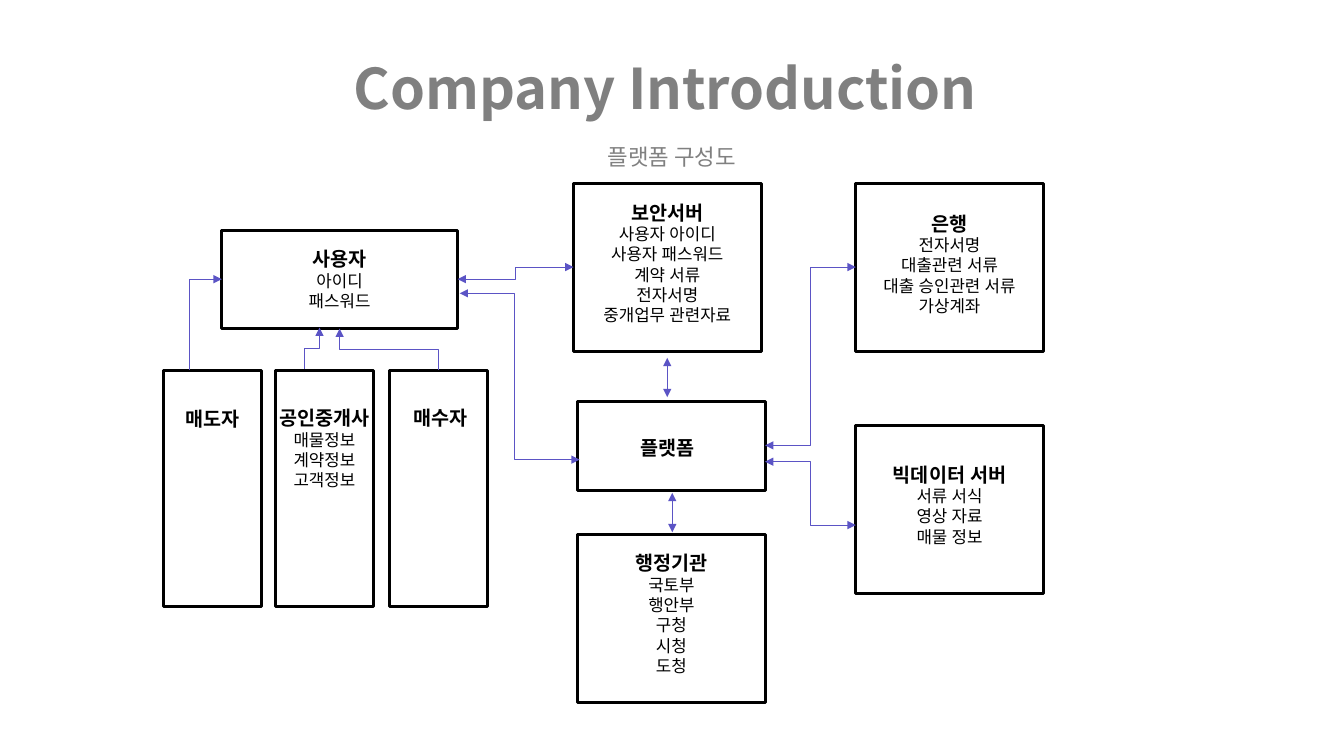
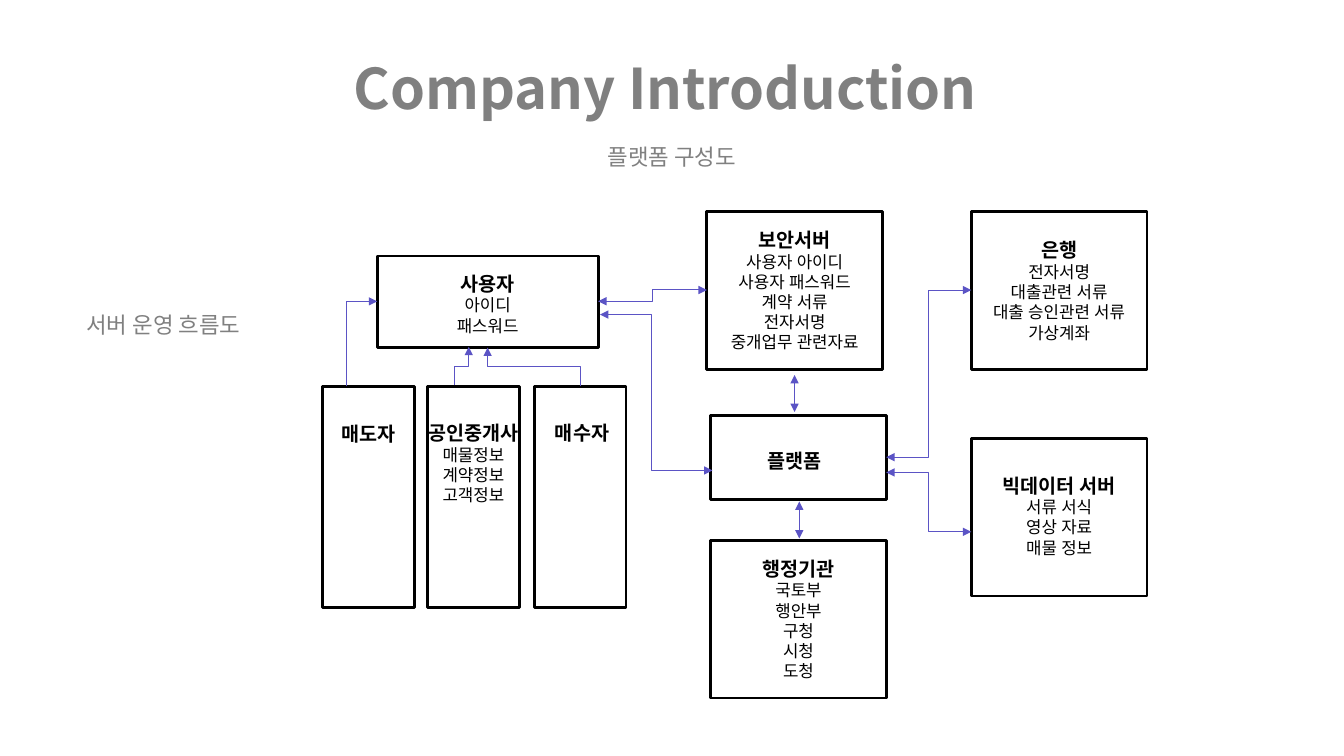
import pptx
import pptx.dml.color
import pptx.enum.shapes
import pptx.enum.text
import pptx.oxml
import pptx.oxml.ns
import pptx.util

Pt = pptx.util.Pt
ALIGN = pptx.enum.text.PP_ALIGN
ANCHOR = pptx.enum.text.MSO_ANCHOR
CONNECTOR = pptx.enum.shapes.MSO_CONNECTOR
RECTANGLE = pptx.enum.shapes.MSO_SHAPE.RECTANGLE
qn = pptx.oxml.ns.qn

GREY, BLACK, VIOLET = "808080", "000000", "5B54C5"
TITLE_FONT, CAPTION_FONT, BOX_FONT = "Noto Sans CJK KR", "Karla", "Lato"


def rgb(code):
    return pptx.dml.color.RGBColor.from_string(code)


def add_span(para, text, font, size, color, bold=False, align=ALIGN.CENTER):
    """Align the paragraph and add one run, with the same font for Latin and Korean."""
    para.alignment = align
    span = para.add_run()
    span.text = text
    span.font.name = font
    span.font.size = Pt(size)
    span.font.bold = bold
    span.font.color.rgb = rgb(color)
    east_asian = pptx.oxml.parse_xml(
        f'<a:ea {pptx.oxml.ns.nsdecls("a")} typeface="{font}"/>')
    span.font._element.find(qn("a:latin")).addnext(east_asian)


# left, top, width, height, gap above text, sideways shift of text, heading, lines
BOXES = [
    (409.7, 131, 134, 120.2, 8.6, 0, "보안서버",
     ["사용자 아이디", "사용자 패스워드", "계약 서류", "전자서명", "중개업무 관련자료"]),
    (611.3, 303.8, 134, 120.2, 23, 0, "빅데이터 서버",
     ["서류 서식", "영상 자료", "매물 정보"]),
    (412.6, 381.6, 134, 120.2, 8.6, 0, "행정기관",
     ["국토부", "행안부", "구청", "시청", "도청"]),
    (412.6, 286.6, 134, 64, 21.5, -3, "플랫폼", []),
    (611.3, 131, 134, 120.2, 16.5, 0, "은행",
     ["전자서명", "대출관련 서류", "대출 승인관련 서류", "가상계좌"]),
    (158.4, 164.9, 168.5, 69.8, 8, 0, "사용자", ["아이디", "패스워드"]),
    (117, 264.6, 69.8, 168.5, 22.7, 0, "매도자", []),
    (196.9, 264.6, 69.8, 168.5, 22, 0, "공인중개사",
     ["매물정보", "계약정보", "고객정보"]),
    (278.3, 264.6, 69.8, 168.5, 22, 1.4, "매수자", []),
]

# Arrows that leave a box upwards: start, end, preset shape
RISING_ARROWS = [
    (135.4, 264.2, 158.4, 199.4, "bentConnector2"),
    (313.2, 264.2, 242.6, 234.7, "bentConnector3"),
    (217.4, 263.5, 228.2, 234, "bentConnector3"),
]

# Double arrows: start, end, place of the bend in percent of the width
DOUBLE_ARROWS = [
    (326.9, 199.4, 409.7, 190.8, 50),
    (476.6, 255.6, 476.6, 283.7, None),
    (480.2, 352, 480.2, 380.2, None),
    (546.5, 329.8, 611.3, 375.1, 50),
    (546.5, 318.2, 611.3, 190.8, 50),
    (328.3, 209.5, 414, 328.3, 46),
]

# Captions (text, left, top, alignment), then scale and offset of the diagram
SUBTITLE = ("플랫폼 구성도", 63.4, 98.6, ALIGN.CENTER)
SIDE_NOTE = ("서버 운영 흐름도", 54.7, 218.9, ALIGN.LEFT)
PAGES = [
    ([SUBTITLE], 1, 0, 0),
    ([SIDE_NOTE, SUBTITLE], 0.937, 121, 28.4),
]

deck = pptx.Presentation()
deck.slide_width, deck.slide_height = Pt(960), Pt(540)

for captions, scale, shift_x, shift_y in PAGES:
    page = deck.slides.add_slide(deck.slide_layouts[5])
    title = page.shapes.title
    title.left, title.top, title.width, title.height = Pt(63.4), Pt(25.9), Pt(832.3), Pt(72)
    title.text_frame.auto_size = pptx.enum.text.MSO_AUTO_SIZE.NONE
    title.text_frame.vertical_anchor = ANCHOR.MIDDLE
    add_span(title.text_frame.paragraphs[0], "Company Introduction ", TITLE_FONT, 40, GREY, True)

    for text, left, top, align in captions:
        caption = page.shapes.add_textbox(Pt(left), Pt(top), Pt(833), Pt(29.5))
        caption.text_frame.word_wrap = True
        add_span(caption.text_frame.paragraphs[0], text, CAPTION_FONT, 16, GREY, align=align)

    for left, top, width, height, gap, nudge, heading, lines in BOXES:
        box = page.shapes.add_shape(
            RECTANGLE, Pt(left * scale + shift_x), Pt(top * scale + shift_y),
            Pt(width * scale), Pt(height * scale))
        box.shadow.inherit = False
        box.fill.background()
        box.line.color.rgb = rgb(BLACK)
        box.line.width = Pt(2)
        frame = box.text_frame
        frame.word_wrap = False
        frame.vertical_anchor = ANCHOR.TOP
        frame.margin_top, frame.margin_bottom = Pt(gap * scale + 3.6), 0
        frame.margin_left, frame.margin_right = Pt(max(2 * nudge, 0)), Pt(max(-2 * nudge, 0))
        add_span(frame.paragraphs[0], heading, BOX_FONT, 14, BLACK, True)
        for line in lines:
            add_span(frame.add_paragraph(), line, BOX_FONT, 12, BLACK)

    arrows = []
    for x1, y1, x2, y2, preset in RISING_ARROWS:
        # Laid out flat around its centre, then turned to point upwards
        middle_x, middle_y = (x1 + x2) / 2, (y1 + y2) / 2
        half_rise, half_run = (y1 - y2) / 2, (x2 - x1) / 2
        arrow = page.shapes.add_connector(
            CONNECTOR.ELBOW,
            Pt((middle_x - half_rise) * scale + shift_x),
            Pt((middle_y - half_run) * scale + shift_y),
            Pt((middle_x + half_rise) * scale + shift_x),
            Pt((middle_y + half_run) * scale + shift_y))
        properties = arrow._element.spPr
        properties.find(qn("a:xfrm")).set("rot", str(270 * 60000))
        properties.find(qn("a:prstGeom")).set("prst", preset)
        arrows.append((arrow, ["a:tailEnd"]))

    for x1, y1, x2, y2, bend in DOUBLE_ARROWS:
        kind = CONNECTOR.ELBOW if bend else CONNECTOR.STRAIGHT
        arrow = page.shapes.add_connector(
            kind, Pt(x1 * scale + shift_x), Pt(y1 * scale + shift_y),
            Pt(x2 * scale + shift_x), Pt(y2 * scale + shift_y))
        if bend:
            geometry = arrow._element.spPr.find(qn("a:prstGeom"))
            guide = geometry.get_or_add_avLst().makeelement(
                qn("a:gd"), {"name": "adj1", "fmla": f"val {bend * 1000}"})
            geometry.find(qn("a:avLst")).append(guide)
        arrows.append((arrow, ["a:headEnd", "a:tailEnd"]))

    for arrow, ends in arrows:
        arrow.line.color.rgb = rgb(VIOLET)
        arrow.line.width = Pt(0.75)
        properties = arrow._element.spPr
        outline = properties.find(qn("a:ln"))
        for end in ends:
            outline.append(outline.makeelement(qn(end), {"type": "triangle"}))
        properties.append(properties.makeelement(qn("a:effectLst"), {}))

deck.save("out.pptx")
